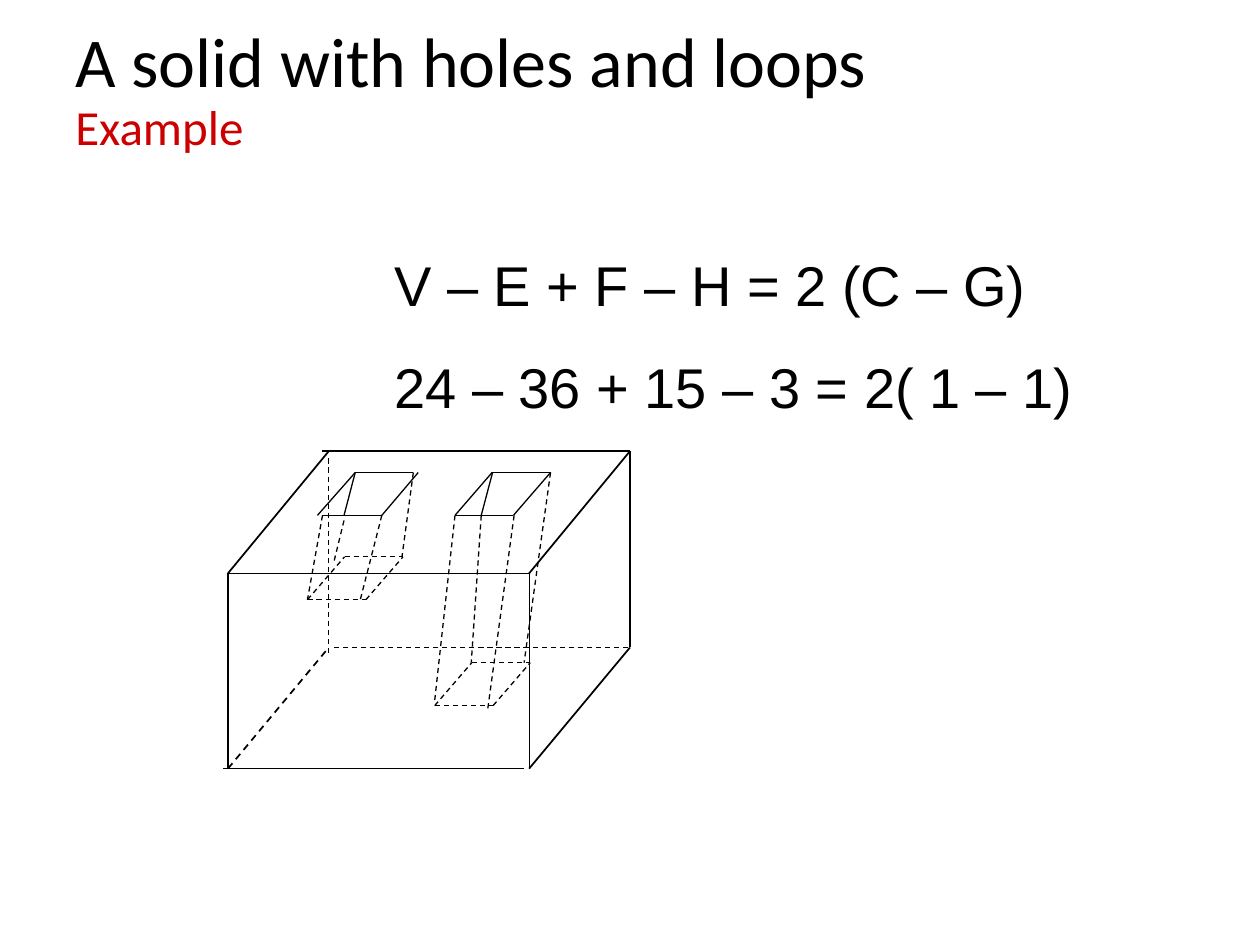
from pptx import Presentation
from pptx.dml.color import RGBColor
from pptx.enum.dml import MSO_LINE
from pptx.enum.shapes import MSO_CONNECTOR
from pptx.enum.text import MSO_ANCHOR
from pptx.oxml.ns import qn
from pptx.util import Pt
from lxml.etree import SubElement

BLACK = RGBColor(0x00, 0x00, 0x00)
RED = RGBColor(0xCC, 0x00, 0x00)

# Edges as (x1, y1, x2, y2) in points
BOX_SOLID = [
    (130.3, 327.6, 302.4, 327.6),
    (302.4, 327.6, 302.4, 439.2),
    (127.4, 439.2, 299.5, 439.2),
    (130.3, 327.6, 130.3, 439.2),
    (360, 257.8, 360, 370),
    (184.3, 257.8, 360, 257.8),
]
BOX_DEPTH = [
    (302.4, 327.6, 360, 257.8),
    (302.4, 439.2, 360, 370),
    (130.3, 327.6, 187.9, 257.8),
]
BOX_HIDDEN_DEPTH = [(130.3, 439.2, 187.9, 370)]
BOX_HIDDEN = [
    (187.9, 262, 187.9, 373.7),
    (190.8, 370, 360, 370),
]
LEFT_RIM = [
    (203, 270, 236.2, 270),
    (181.4, 294.5, 203, 270),
    (218.2, 294.5, 239, 270),
    (184.3, 294.5, 218.2, 294.5),
]
VISIBLE_WALLS = [
    (281.5, 270, 275, 294.5),
    (203, 270, 196.6, 294.5),
]
RIGHT_WALLS = [
    (260, 294.5, 248.4, 400.3),
    (293.8, 294.5, 278.6, 406.1),
    (314.6, 270, 299.5, 378.7),
    (275, 294.5, 269.3, 378.7),
]
LEFT_WALLS = [
    (184.3, 294.5, 175.7, 342.7),
    (218.2, 294.5, 205.9, 342.7),
    (236.2, 270, 229.7, 318.2),
    (196.6, 297.4, 190.8, 321.1),
]


def parallelogram(x, y, width=33.4, dx=21.2, dy=24.5):
    """Return the four edges of a hole's end, from its front left corner."""
    return [
        (x, y, x + dx, y - dy),
        (x + width, y, x + width + dx, y - dy),
        (x + dx, y - dy, x + width + dx, y - dy),
        (x, y, x + width, y),
    ]


def add_edges(slide, edges, width=0.75, dashed=False):
    for edge in edges:
        s = slide.shapes.add_connector(MSO_CONNECTOR.STRAIGHT, *map(Pt, edge))
        s.line.color.rgb = BLACK
        s.line.width = Pt(width)
        if dashed:
            s.line.dash_style = MSO_LINE.DASH
        SubElement(s._element.spPr, qn("a:effectLst"))


def add_text_frame(slide, left, top, width, height, **settings):
    tf = slide.shapes.add_textbox(*map(Pt, (left, top, width, height))).text_frame
    for name, value in {"word_wrap": True, **settings}.items():
        setattr(tf, name, value)
    return tf


def add_run(p, text, font, size, color):
    r = p.add_run()
    r.text = text
    for name, value in {"name": font, "size": Pt(size)}.items():
        setattr(r.font, name, value)
    r.font.color.rgb = color


def add_title(slide, title, subtitle):
    tf = add_text_frame(slide, 36, 21.6, 638.6, 61.2,
                        vertical_anchor=MSO_ANCHOR.MIDDLE)
    p = tf.paragraphs[0]
    p.line_spacing = 0.9
    add_run(p, title, "Calibri", 40, BLACK)
    p.add_line_break()
    add_run(p, subtitle, "Calibri", 28, RED)


def add_formulas(slide, formulas):
    tf = add_text_frame(slide, 218.2, 139.7, 438.5, 104.4)
    for i, formula in enumerate(formulas):
        p = tf.add_paragraph() if i else tf.paragraphs[0]
        p.space_before = Pt(20)
        pPr = p._p.get_or_add_pPr()
        pPr.set("marL", str(Pt(27)))
        pPr.set("indent", str(-Pt(27)))
        add_run(p, formula, "Arial", 32, BLACK)


def add_solid(slide):
    add_edges(slide, BOX_SOLID)
    add_edges(slide, BOX_DEPTH, width=1)
    add_edges(slide, BOX_HIDDEN_DEPTH, width=1, dashed=True)
    add_edges(slide, BOX_HIDDEN, dashed=True)


def add_holes(slide):
    right_rim = parallelogram(260, 294.5)
    right_floor = parallelogram(248.4, 403.2)
    left_floor = parallelogram(175.7, 342.7)
    add_edges(slide, right_rim + LEFT_RIM + VISIBLE_WALLS)
    add_edges(slide, right_floor + RIGHT_WALLS + left_floor + LEFT_WALLS,
              dashed=True)


def main():
    prs = Presentation()
    prs.slide_width, prs.slide_height = Pt(720), Pt(540)
    slide = prs.slides.add_slide(prs.slide_layouts[6])
    add_title(slide, "A solid with holes and loops", "Example")
    add_solid(slide)
    add_holes(slide)
    add_formulas(slide, ["V – E + F – H = 2 (C – G)",
                         "24 – 36 + 15 – 3 = 2( 1 – 1)"])
    prs.save("out.pptx")


if __name__ == "__main__":
    main()
